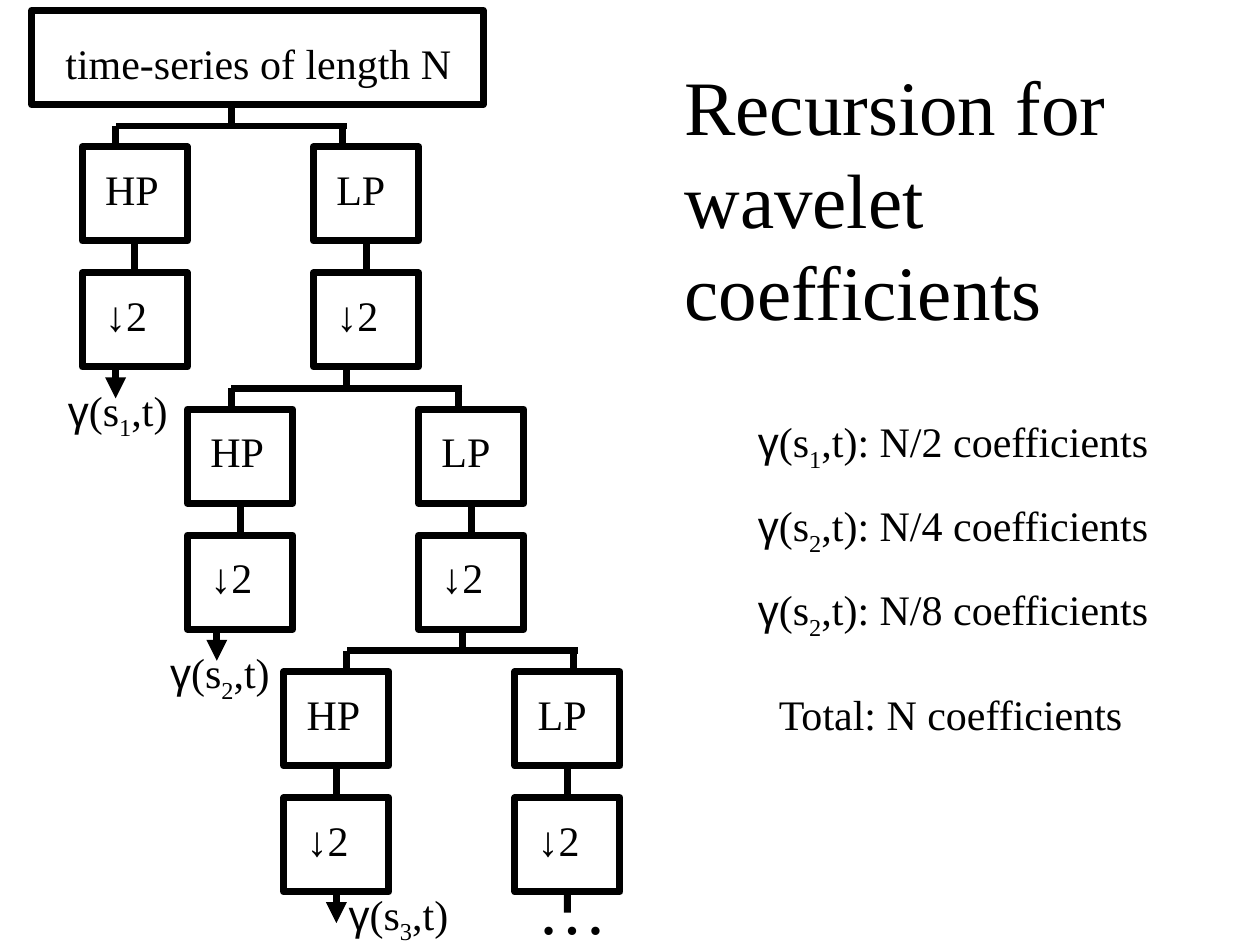
import pptx
import pptx.util
import pptx.dml.color
import pptx.enum.shapes
import pptx.enum.text
import pptx.oxml
import pptx.oxml.ns

Cm = pptx.util.Cm
Pt = pptx.util.Pt
WIDE, HIGH = 2.12, 1.9
PITCH, LEVEL, SPAN = 2.54, 5.29, 4.66
GAP = 0.42


def tint(code):
    return pptx.dml.color.RGBColor.from_string(code)


def child(node, tag, **attrs):
    part = pptx.oxml.parse_xml(f"<a:{tag} {pptx.oxml.ns.nsdecls('a')}/>")
    for name, value in attrs.items():
        part.set(name, value)
    node.append(part)


def write(slide, left, top, wide, high, runs, size=24, lead=15):
    box = slide.shapes.add_textbox(Cm(left), Cm(top), Cm(wide), Cm(high))
    frame = box.text_frame
    frame.word_wrap = True
    frame.auto_size = pptx.enum.text.MSO_AUTO_SIZE.SHAPE_TO_FIT_TEXT
    para = frame.paragraphs[0]
    para.space_before = Pt(lead)
    for text, style in runs:
        run = para.add_run()
        run.text = text
        run.font.size = Pt(size)
        run.font.name = "Arial" if style == "symbol" else "Times New Roman"
        run.font.color.rgb = tint("000000")
        if style == "sub":
            run._r.get_or_add_rPr().set("baseline", "-25000")


def gamma(index, tail=""):
    return [("γ", "symbol"), ("(s", ""), (index, "sub"), (",t)" + tail, "")]


def block(slide, left, top, wide=WIDE, high=HIGH):
    kind = pptx.enum.shapes.MSO_SHAPE.RECTANGLE
    box = slide.shapes.add_shape(kind, Cm(left), Cm(top), Cm(wide), Cm(high))
    box.shadow.inherit = False
    box.fill.background()
    box.line.color.rgb = tint("000000")
    box.line.width = Pt(4)
    return box


def line(slide, x1, y1, x2, y2, above=None, below=None, arrow=False):
    kind = pptx.enum.shapes.MSO_CONNECTOR.STRAIGHT
    wire = slide.shapes.add_connector(kind, Cm(x1), Cm(y1), Cm(x2), Cm(y2))
    wire.line.color.rgb = tint("000000")
    wire.line.width = Pt(4)
    if arrow:
        child(wire.line._get_or_add_ln(), "tailEnd", type="triangle")
    child(wire._element.spPr, "effectLst")
    near = Cm(0.05)
    if above and abs(above.left + above.width // 2 - Cm(x1)) < near:
        wire.begin_connect(above, 2)
    if below and abs(below.left + below.width // 2 - Cm(x2)) < near:
        wire.end_connect(below, 0)


def filter_pair(slide, left, top, name):
    upper = block(slide, left, top)
    write(slide, left + 0.21, top + 0.21, 1.7, 1.27, [(name, "")])
    lower = block(slide, left, top + PITCH)
    write(slide, left + 0.21, top + PITCH + 0.21, 1.7, 1.27,
          [("↓", "symbol"), ("2", "")])
    mid = left + WIDE / 2
    line(slide, mid, top + HIGH, mid, top + PITCH, upper, lower)
    return upper, lower


def fork(slide, left, top, source, high, low):
    right, mid = left + SPAN, left + SPAN / 2
    line(slide, left, top, left, top + GAP, below=high)
    line(slide, right - 0.08, top - 0.03, right - 0.08, top + GAP - 0.03, below=low)
    line(slide, mid, top - GAP, mid, top, above=source)
    line(slide, right, top, left, top)


def tree(slide, left, top):
    source = block(slide, left, top, 9.1, 1.9)
    write(slide, left + 0.43, top + 0.42, 8.89, 1.27, [("time-series of length N", "")])
    levels = [
        (1.02, 1.69, 0.48, 5.52 + 1.89),
        (3.14, 3.73, 2.54, 12.7),
        (5.08, 6.14, 6.14, 17.57),
    ]
    for step, (shift, tip, label, depth) in enumerate(levels):
        x, y = left + shift, top + 2.75 + step * LEVEL
        high, drain = filter_pair(slide, x, y, "HP")
        low, next_box = filter_pair(slide, x + SPAN, y, "LP")
        fork(slide, left + 1.69 + step * SPAN / 2, y - GAP, source, high, low)
        base = y + PITCH + HIGH
        line(slide, left + tip, base, left + tip, base + 0.63, drain, arrow=True)
        write(slide, left + label, top + depth, 2.54, 2.44, gamma(str(step + 1)))
        source = next_box
    mid = x + SPAN + WIDE / 2
    line(slide, mid, base, mid, base + GAP, source)
    write(slide, x + SPAN + 0.21, base - 0.67, 1.7, 1.96, [("…", "")], 40, 25)


def notes(slide, left, top):
    write(slide, left, top, 10.16, 5.84,
          [("Recursion for wavelet coefficients", "")], 44, 27.5)
    for row, (index, part) in enumerate([("1", 2), ("2", 4), ("2", 8)]):
        write(slide, left + 1.48, top + 7.2 + row * 1.69, 8.89, 1.42,
              gamma(index, f": N/{part} coefficients"))
    write(slide, left + 1.9, top + 12.7, 8.89, 1.27, [("Total: N coefficients", "")])


def main():
    deck = pptx.Presentation()
    deck.slide_width, deck.slide_height = Cm(25.4), Cm(19.05)
    slide = deck.slides.add_slide(deck.slide_layouts[6])
    tree(slide, 0.64, 0.21)
    notes(slide, 13.55, 1.06)
    deck.save("out.pptx")


if __name__ == "__main__":
    main()
